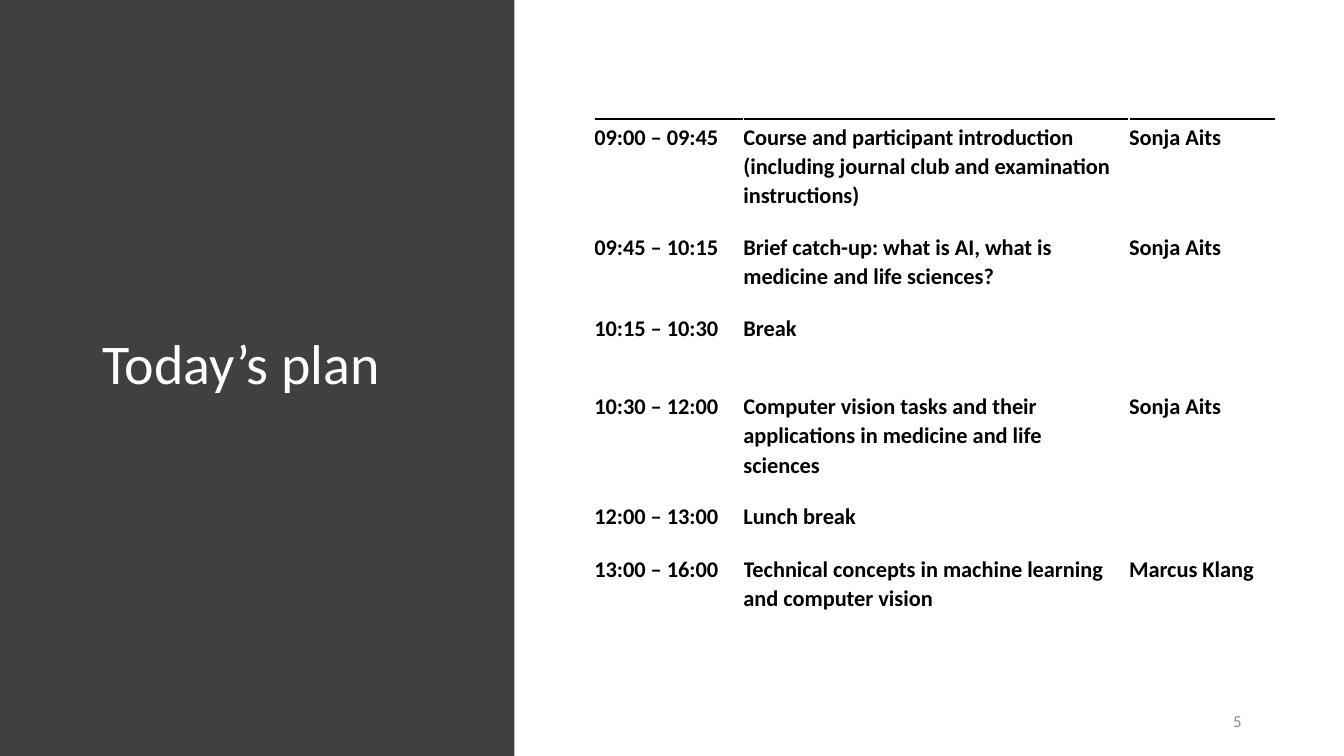
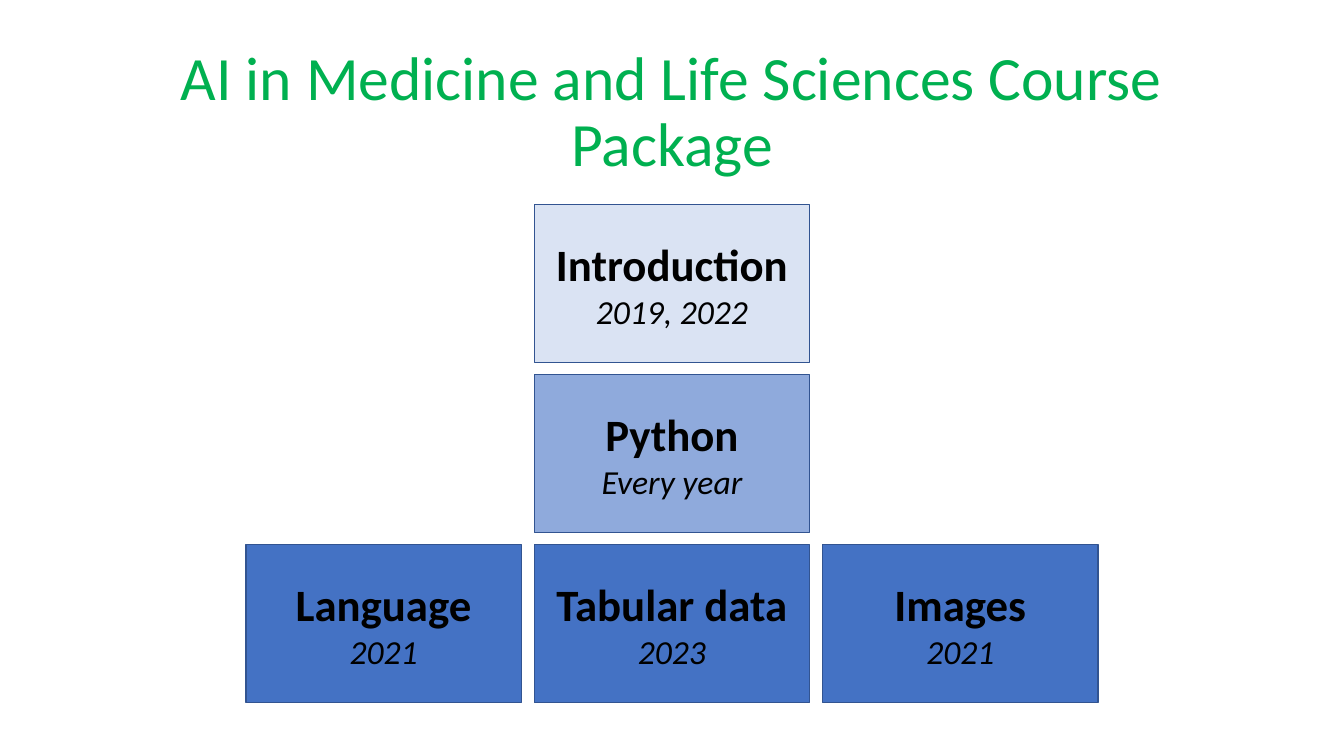
from lxml import etree
from pptx import Presentation
from pptx.dml.color import RGBColor
from pptx.enum import shapes, text
from pptx.oxml import ns
from pptx.util import Pt

FONT = "Calibri"
COLOURS = {
    "black": "000000",
    "white": "FFFFFF",
    "panel": "404040",
    "number": "8C8C8C",
    "heading": "00B050",
    "outline": "325491",
    "light": "DAE3F3",
    "medium": "8FAADC",
    "strong": "4472C4",
}

PLAN = [
    (74, "09:00 – 09:45", "Course and participant introduction (including journal club "
     "and examination instructions)", "Sonja Aits"),
    (56, "09:45 – 10:15", "Brief catch-up: what is AI, what is medicine and life sciences?",
     "Sonja Aits"),
    (56, "10:15 – 10:30", "Break", ""),
    (74, "10:30 – 12:00", "Computer vision tasks and their applications in medicine "
     "and life sciences", "Sonja Aits"),
    (37.5, "12:00 – 13:00", "Lunch break", ""),
    (56, "13:00 – 16:00", "Technical concepts in machine learning and computer vision",
     "Marcus Klang"),
]
PLAN_COLUMNS = [106.5, 275.5, 105]

COURSES = [
    (0, 1, "Introduction", "2019, 2022", "light"),
    (1, 1, "Python", "Every year", "medium"),
    (2, 0, "Language", "2021", "strong"),
    (2, 1, "Tabular data", "2023", "strong"),
    (2, 2, "Images", "2021", "strong"),
]
COURSE_SIZE = (196.8, 113)
COURSE_ORIGIN = (175.6, 146.2)
COURSE_PITCH = (206, 121.4)


def points(*lengths):
    return [Pt(length) for length in lengths]


def colour(name):
    return RGBColor.from_string(COLOURS[name])


def style(paragraph, size, colour_name, align=text.PP_ALIGN.LEFT, bold=False, italic=False):
    paragraph.alignment = align
    font = paragraph.font
    font.name, font.size, font.bold, font.italic = FONT, Pt(size), bold, italic
    font.color.rgb = colour(colour_name)


def add_titled_slide(presentation, title, box, size, colour_name, align):
    slide = presentation.slides.add_slide(presentation.slide_layouts[5])
    shape = slide.shapes.title
    shape.left, shape.top, shape.width, shape.height = points(*box)
    frame = shape.text_frame
    frame.text = title
    frame.word_wrap = True
    frame.auto_size = text.MSO_AUTO_SIZE.NONE
    frame.vertical_anchor = text.MSO_ANCHOR.MIDDLE
    paragraph = frame.paragraphs[0]
    paragraph.line_spacing = 0.9
    style(paragraph, size, colour_name, align)
    return slide


def add_rectangle(slide, box, fill, outline=None):
    shape = slide.shapes.add_shape(shapes.MSO_SHAPE.RECTANGLE, *points(*box))
    shape.shadow.inherit = False
    shape.fill.solid()
    shape.fill.fore_color.rgb = colour(fill)
    if outline:
        shape.line.color.rgb = colour(outline)
        shape.line.width = Pt(1)
    else:
        shape.line.fill.background()
    return shape


def add_side_panel(slide):
    panel = add_rectangle(slide, (0, 0, 367.5, 540), "panel")
    slide.shapes.title.element.addprevious(panel.element)


def add_slide_number(slide, number):
    frame = slide.shapes.add_textbox(*points(798, 500.5, 96, 28.75)).text_frame
    frame.word_wrap = True
    frame.vertical_anchor = text.MSO_ANCHOR.MIDDLE
    frame.text = number
    paragraph = frame.paragraphs[0]
    paragraph.space_after = Pt(6)
    style(paragraph, 12, "number", text.PP_ALIGN.RIGHT)


def add_top_border(cell, width, colour_name):
    border = etree.Element(ns.qn("a:lnT"), w=str(Pt(width)))
    fill = etree.SubElement(border, ns.qn("a:solidFill"))
    etree.SubElement(fill, ns.qn("a:srgbClr"), val=COLOURS[colour_name])
    cell._tc.get_or_add_tcPr().insert(0, border)


def fill_plan_cell(cell, content):
    cell.fill.background()
    if not content:
        return
    cell.margin_left, cell.margin_top, cell.margin_right, cell.margin_bottom = points(0, 2, 5, 15)
    cell.text = content
    paragraph = cell.text_frame.paragraphs[0]
    paragraph.line_spacing = 1.07
    paragraph.space_after = Pt(8)
    style(paragraph, 16, "black", bold=True)


def add_plan_table(slide):
    box = points(424.5, 85, sum(PLAN_COLUMNS), sum(row[0] for row in PLAN))
    table = slide.shapes.add_table(len(PLAN), len(PLAN_COLUMNS), *box).table
    table.first_row = table.horz_banding = False
    for column, width in zip(table.columns, PLAN_COLUMNS):
        column.width = Pt(width)
    for row, (height, *contents) in zip(table.rows, PLAN):
        row.height = Pt(height)
        for cell, content in zip(row.cells, contents):
            fill_plan_cell(cell, content)
    for cell in table.rows[0].cells:
        add_top_border(cell, 2.25, "black")


def add_course(slide, row, column, name, years, fill):
    left = COURSE_ORIGIN[0] + column * COURSE_PITCH[0]
    top = COURSE_ORIGIN[1] + row * COURSE_PITCH[1]
    frame = add_rectangle(slide, (left, top, *COURSE_SIZE), fill, "outline").text_frame
    frame.word_wrap = True
    frame.vertical_anchor = text.MSO_ANCHOR.MIDDLE
    frame.text = f"{name}\n{years}"
    heading, detail = frame.paragraphs
    style(heading, 32, "black", text.PP_ALIGN.CENTER, bold=True)
    style(detail, 24, "black", text.PP_ALIGN.CENTER, italic=True)


def main():
    presentation = Presentation()
    presentation.slide_width, presentation.slide_height = points(960, 540)

    plan = add_titled_slide(presentation, "Today’s plan", (66, 49, 264, 426),
                            40, "white", text.PP_ALIGN.LEFT)
    add_side_panel(plan)
    add_slide_number(plan, "5")
    add_plan_table(plan)

    package = add_titled_slide(presentation, "AI in Medicine and Life Sciences Course Package",
                               (66, 28.75, 828, 104.4), 44, "heading", text.PP_ALIGN.CENTER)
    for course in COURSES:
        add_course(package, *course)

    presentation.save("out.pptx")


if __name__ == "__main__":
    main()
